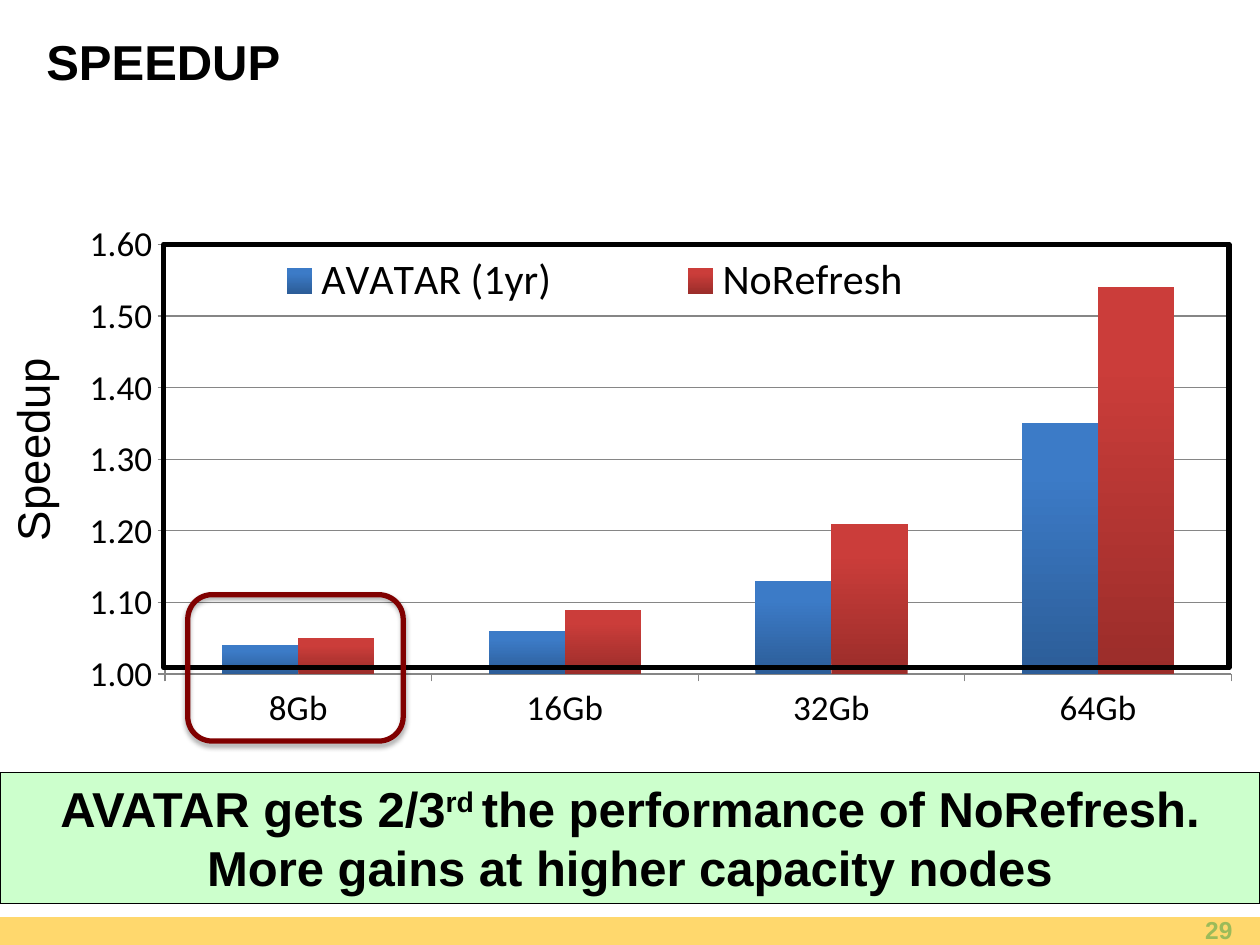
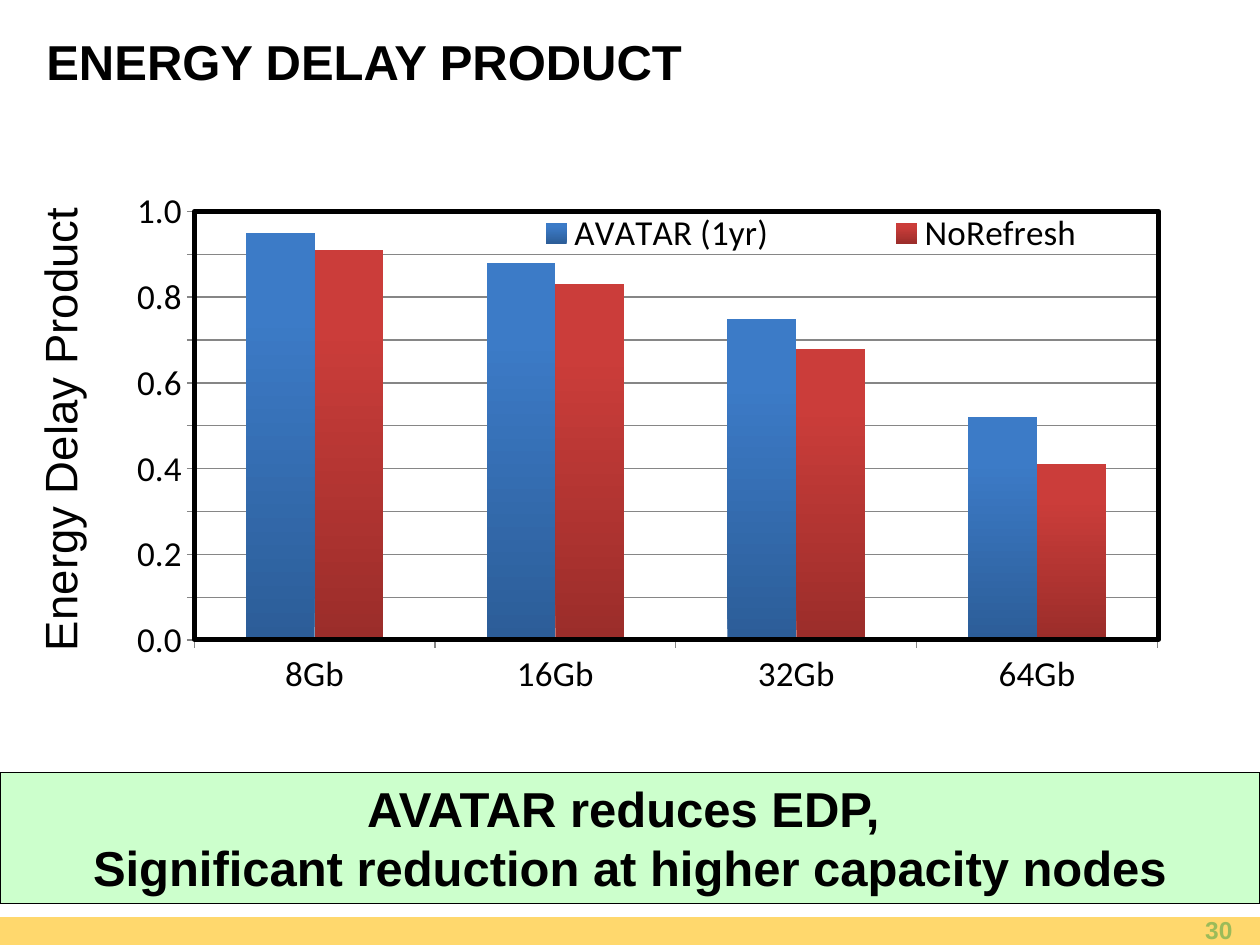
from lxml import etree
from pptx import Presentation
from pptx.chart.data import CategoryChartData
from pptx.dml.color import RGBColor
from pptx.enum.chart import XL_CHART_TYPE, XL_LEGEND_POSITION, XL_TICK_MARK
from pptx.enum.shapes import MSO_SHAPE
from pptx.enum.text import MSO_ANCHOR, PP_ALIGN
from pptx.oxml import parse_xml
from pptx.oxml.ns import qn
from pptx.util import Inches, Pt

RECT, ROUND = MSO_SHAPE.RECTANGLE, MSO_SHAPE.ROUNDED_RECTANGLE
LEFT, MID, RIGHT = PP_ALIGN.LEFT, PP_ALIGN.CENTER, PP_ALIGN.RIGHT
TOP, CENTER = MSO_ANCHOR.TOP, MSO_ANCHOR.MIDDLE
COLUMN = XL_CHART_TYPE.COLUMN_CLUSTERED
SIDE = XL_LEGEND_POSITION.RIGHT
OUT = XL_TICK_MARK.OUTSIDE

UNIT = Inches(0.1)
BLACK, GRAY, GOLD, MINT = "000000", "868686", "FFD86D", "CCFFCC"
MAROON, GREEN = "800000", "9BBB59"
TITLE_BOX = (2.7, 2.2, 91.7, 5.3)
BAND_BOX = (0, 72.8, 100, 2.3)
PAGE_BOX = (75.5, 72.5, 23.3, 2.6)
CLAIM_BOX = (0, 61.3, 100, 10.4)
CATS = ["8Gb", "16Gb", "32Gb", "64Gb"]
NAMES = ["AVATAR (1yr)", "NoRefresh"]
SHADES = [("2C5D98", "3C7BC7"), ("9B2D2A", "CB3D3A")]

SHADOW = (
    '<a:effectLst xmlns:a="http://schemas.openxmlformats.org/drawingml/2006/main">'
    '<a:outerShdw blurRad="39400" dist="22900" dir="5400000" rotWithShape="0">'
    '<a:srgbClr val="000000"><a:alpha val="35000"/></a:srgbClr>'
    '</a:outerShdw></a:effectLst>'
)


def color(code):
    return RGBColor.from_string(code)


def place(box):
    return [round(n * UNIT) for n in box]


def part(box, share):
    x, y, w, h = box
    return (x + share[0] * w, y + share[1] * h, share[2] * w, share[3] * h)


def style(font, size, name="Arial", code=BLACK, bold=False):
    font.size = Pt(size)
    font.name = name
    font.bold = bold
    font.color.rgb = color(code)


def write(shape, text, size=28, code=BLACK, bold=True, align=LEFT,
          anchor=TOP, wrap=True, high=None):
    frame = shape.text_frame
    frame.word_wrap = wrap
    frame.vertical_anchor = anchor
    for row, line in enumerate(text.split("\n")):
        para = frame.add_paragraph() if row else frame.paragraphs[0]
        para.alignment = align
        head, mark, tail = line.partition(high) if high else (line, "", "")
        for piece in filter(None, (head, mark, tail)):
            run = para.add_run()
            run.text = piece
            style(run.font, size, code=code, bold=bold)
            if piece == mark:
                run._r.get_or_add_rPr().set("baseline", "30000")


def label(slide, box, text, turn=0, **form):
    shape = slide.shapes.add_textbox(*place(box))
    shape.rotation = turn
    write(shape, text, **form)


def block(slide, box, kind=RECT, fill=None, line=None, width=3):
    shape = slide.shapes.add_shape(kind, *place(box))
    shape.shadow.inherit = False
    if fill:
        shape.fill.solid()
        shape.fill.fore_color.rgb = color(fill)
    else:
        shape.fill.background()
    if line:
        shape.line.color.rgb = color(line)
        shape.line.width = Pt(width)
    else:
        shape.line.fill.background()
    return shape


def layout(node, share, index, inner=False):
    for old in node.findall(qn("c:layout")):
        node.remove(old)
    root = etree.Element(qn("c:layout"))
    man = etree.SubElement(root, qn("c:manualLayout"))
    items = [("layoutTarget", "inner")] if inner else []
    items += [("xMode", "edge"), ("yMode", "edge")]
    items += zip("xywh", share)
    for tag, val in items:
        etree.SubElement(man, qn("c:" + tag)).set("val", str(val))
    node.insert(index, root)


def paint(series, low, high):
    fill = series.format.fill
    fill.gradient()
    fill.gradient_angle = 90
    for stop, code, pos in zip(fill.gradient_stops, (low, high), (0, 0.8)):
        stop.color.rgb = color(code)
        stop.position = pos
    series.invert_if_negative = False


def scale(axis, form, low, top, step):
    axis.minimum_scale, axis.maximum_scale = low, top
    axis.major_unit = step
    axis.tick_labels.number_format = form
    axis.tick_labels.number_format_is_linked = False
    axis.has_major_gridlines = True
    axis.major_gridlines.format.line.color.rgb = color(GRAY)
    axis.major_gridlines.format.line.width = Pt(0.75)


def graph(slide, box, rows, form, low, top, plot, key, size):
    data = CategoryChartData()
    data.categories = CATS
    for name, row in zip(NAMES, rows):
        data.add_series(name, row)
    chart = slide.shapes.add_chart(COLUMN, *place(box), data).chart
    style(chart.font, 10, "Calibri")
    chart.has_title = False
    bars = chart.plots[0]
    bars.gap_width, bars.overlap, bars.vary_by_categories = 150, 0, False
    for series, pair in zip(bars.series, SHADES):
        paint(series, *pair)
    scale(chart.value_axis, form, low, top, 0.1)
    for axis in (chart.category_axis, chart.value_axis):
        axis.major_tick_mark = OUT
        axis.format.line.color.rgb = color(GRAY)
        style(axis.tick_labels.font, 20, "Calibri")
    chart.has_legend = True
    legend = chart.legend
    legend.position = SIDE
    legend.include_in_layout = False
    style(legend.font, size, "Calibri")
    layout(legend._element, key, 1)
    layout(chart._chartSpace.chart.plotArea, plot, 0, inner=True)


def panel(slide, box, name, spot, frame, **form):
    graph(slide, box, **form)
    label(slide, part(box, spot), name, turn=270, size=26, bold=False, wrap=False)
    block(slide, part(box, frame), line=BLACK)


def ring(slide, box):
    shape = block(slide, box, ROUND, line=MAROON)
    props = shape._element.spPr
    props.remove(props.find(qn("a:effectLst")))
    props.append(parse_xml(SHADOW))


def page(deck, title, number, claim, high=None):
    slide = deck.slides.add_slide(deck.slide_layouts[6])
    block(slide, BAND_BOX, fill=GOLD)
    label(slide, TITLE_BOX, title, anchor=CENTER)
    label(slide, PAGE_BOX, number, size=14, code=GREEN, align=RIGHT, anchor=CENTER)
    banner = block(slide, CLAIM_BOX, fill=MINT, line=BLACK, width=0.75)
    write(banner, claim, align=MID, high=high)
    return slide


def speed(deck):
    slide = page(deck, "SPEEDUP", "29",
                 "AVATAR gets 2/3rd the performance of NoRefresh. "
                 "More gains at higher capacity nodes", high="rd ")
    box = (5.4, 16.9, 95, 41.5)
    panel(slide, box, "Speedup",
          spot=(-0.12, 0.38, 0.18, 0.13), frame=(0.08, 0.06, 0.89, 0.81),
          rows=[(1.04, 1.06, 1.13, 1.35), (1.05, 1.09, 1.21, 1.54)],
          form="#,##0.00", low=1, top=1.6, size=24,
          plot=(0.081, 0.06, 0.891, 0.822), key=(0.08, 0.08, 0.72, 0.1))
    ring(slide, part(box, (0.1, 0.73, 0.18, 0.28)))


def energy(deck):
    slide = page(deck, "ENERGY DELAY PRODUCT", "30",
                 "AVATAR reduces EDP, \n"
                 "Significant reduction at higher capacity nodes")
    panel(slide, (8.3, 14.3, 89, 41.4), "Energy Delay Product",
          spot=(-0.25, 0.41, 0.42, 0.13), frame=(0.08, 0.06, 0.86, 0.82),
          rows=[(0.95, 0.88, 0.75, 0.52), (0.91, 0.83, 0.68, 0.41)],
          form="#,##0.0", low=0, top=1, size=20,
          plot=(0.08, 0.06, 0.859, 0.822), key=(0.29, 0.06, 0.68, 0.08))


def main():
    deck = Presentation()
    deck.slide_width, deck.slide_height = 100 * UNIT, 75 * UNIT
    speed(deck)
    energy(deck)
    deck.save("out.pptx")


if __name__ == "__main__":
    main()
